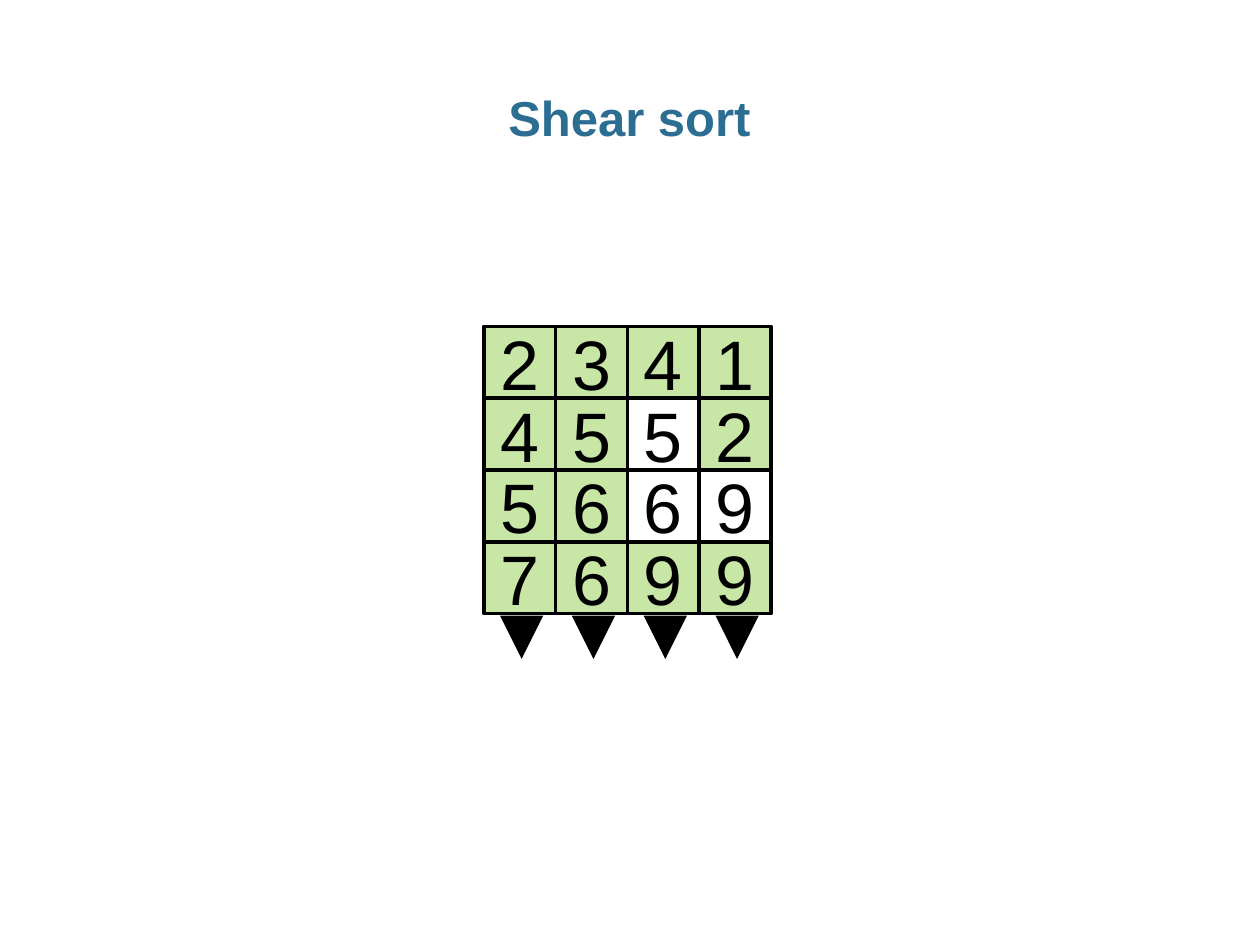
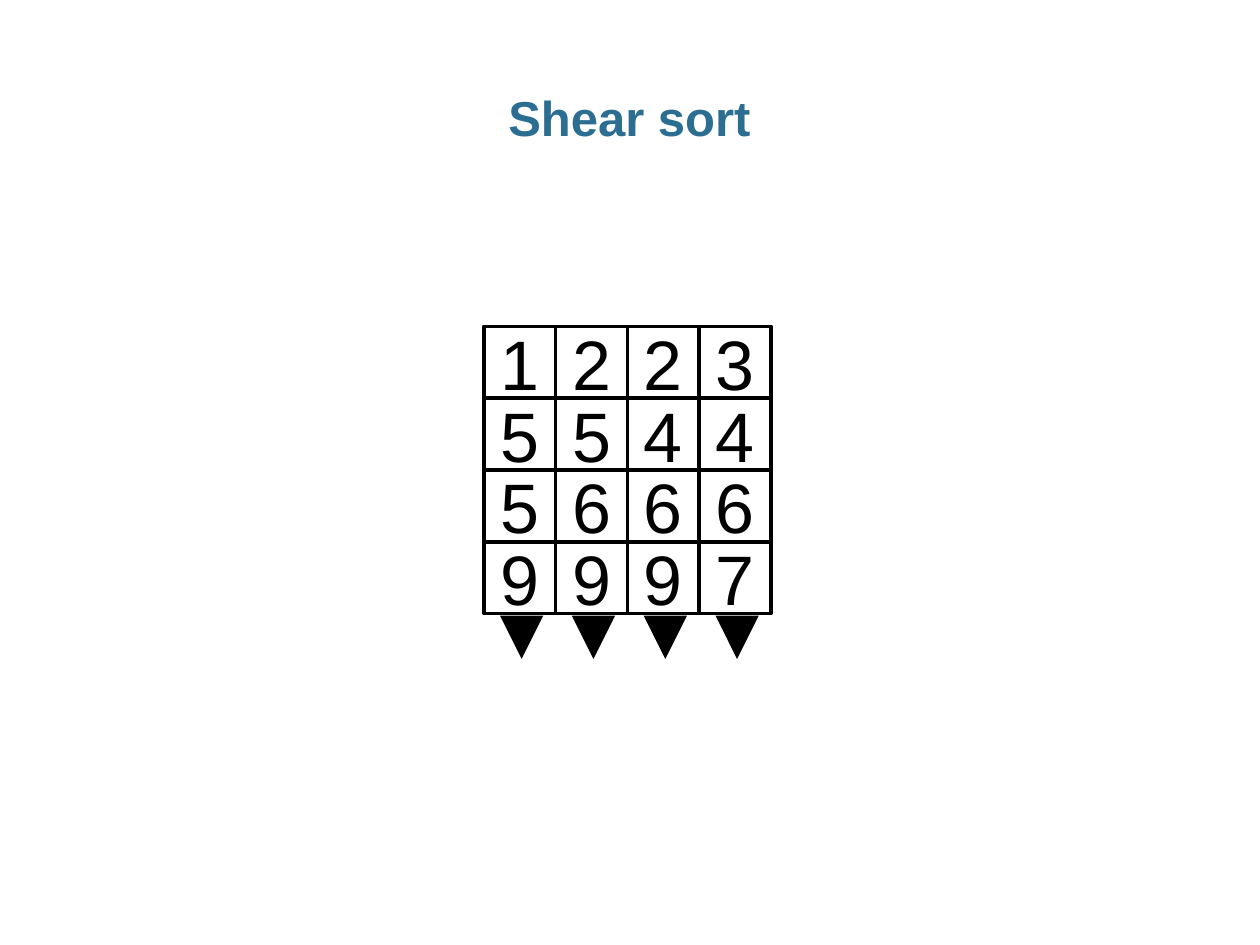
import lxml.etree
import pptx
import pptx.util
import pptx.oxml.ns
import pptx.dml.color
import pptx.enum.shapes
import pptx.enum.text

Inches = pptx.util.Inches
Pt = pptx.util.Pt
RGBColor = pptx.dml.color.RGBColor
qn = pptx.oxml.ns.qn

BLUE = RGBColor(0x2C, 0x6D, 0x92)
GREEN = RGBColor(0x92, 0xD0, 0x50)
BLACK = RGBColor(0, 0, 0)
FONT = "Arial"
CELL = 0.57

# Each slide: rows of numbers, and the marks ("x") of its green cells
STEPS = [
    (["2341", "4552", "5669", "7699"], ["xxxx", "xx.x", "xx..", "xxxx"]),
    (["1223", "5544", "5666", "9997"], ["....", "....", "....", "...."]),
]


def add_xml(node, tag, **attrs):
    lxml.etree.SubElement(node, qn(tag), attrs)


def set_font(para, size, color, bold=False):
    para.alignment = pptx.enum.text.PP_ALIGN.CENTER
    para.font.name = FONT
    para.font.size = Pt(size)
    para.font.bold = bold
    para.font.color.rgb = color


def put_title(slide, text, left, top, width, height):
    title = slide.shapes.title
    title.left, title.top = Inches(left), Inches(top)
    title.width, title.height = Inches(width), Inches(height)
    frame = title.text_frame
    frame.text = text
    frame.auto_size = pptx.enum.text.MSO_AUTO_SIZE.NONE
    frame.vertical_anchor = pptx.enum.text.MSO_ANCHOR.TOP
    frame.margin_left = frame.margin_right = 0
    para = frame.paragraphs[0]
    para.line_spacing = 0.95
    set_font(para, 28, BLUE, bold=True)


def put_cell(slide, digit, green, left, top):
    cell = slide.shapes.add_shape(
        pptx.enum.shapes.MSO_SHAPE.RECTANGLE,
        Inches(left), Inches(top), Inches(CELL), Inches(CELL))
    cell.shadow.inherit = False
    cell.line.color.rgb = BLACK
    cell.line.width = Pt(2)
    if green:
        cell.fill.solid()
        cell.fill.fore_color.rgb = GREEN
        fill = cell._element.spPr.find(qn("a:solidFill"))
        add_xml(fill[0], "a:alpha", val="50000")
    else:
        cell.fill.background()
    frame = cell.text_frame
    frame.text = digit
    frame.vertical_anchor = pptx.enum.text.MSO_ANCHOR.MIDDLE
    set_font(frame.paragraphs[0], 40, BLACK)


def put_arrow(slide, x, top, length):
    arrow = slide.shapes.add_connector(
        pptx.enum.shapes.MSO_CONNECTOR.STRAIGHT,
        Inches(x), Inches(top), Inches(x), Inches(top + length))
    arrow.line.color.rgb = BLACK
    arrow.line.width = Pt(8.25)
    props = arrow._element.spPr
    add_xml(props.find(qn("a:ln")), "a:tailEnd", type="triangle")
    add_xml(props, "a:effectLst")


def put_grid(slide, rows, marks, left, top):
    # Cells
    for r, (row, line) in enumerate(zip(rows, marks)):
        for c, (digit, mark) in enumerate(zip(row, line)):
            put_cell(slide, digit, mark == "x",
                     left + c * CELL, top + r * CELL)
    # Column arrows
    for c in range(len(rows[0])):
        put_arrow(slide, left + 0.3 + c * CELL,
                  top + len(rows) * CELL + 0.04, 0.32)


def main():
    deck = pptx.Presentation()
    deck.slide_width, deck.slide_height = Inches(10), Inches(7.5)
    for rows, marks in STEPS:
        slide = deck.slides.add_slide(deck.slide_layouts[5])
        put_title(slide, "Shear sort", 0.34, 0.68, 9.31, 0.5)
        put_grid(slide, rows, marks, 3.84, 2.59)
    deck.save("out.pptx")


if __name__ == "__main__":
    main()
